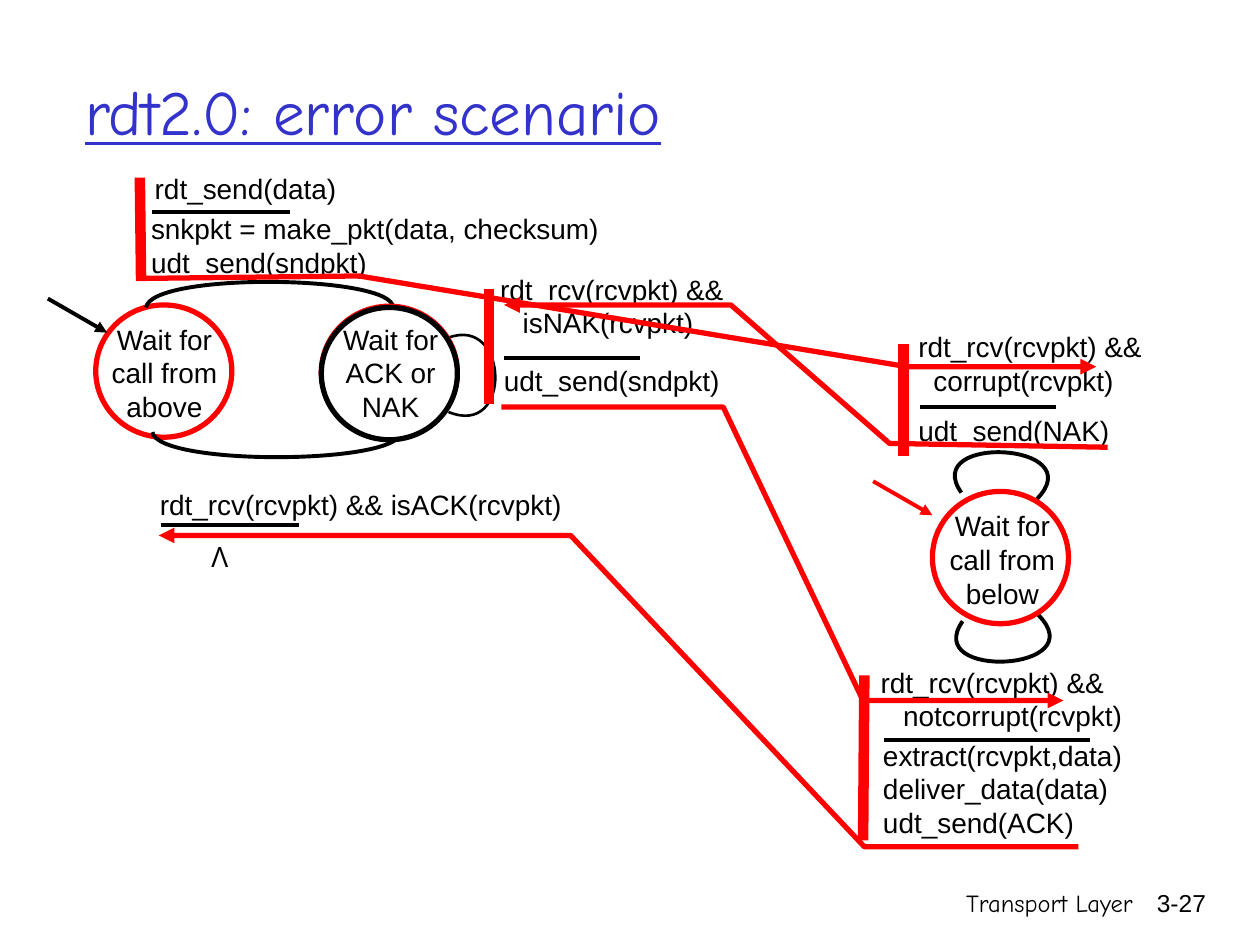
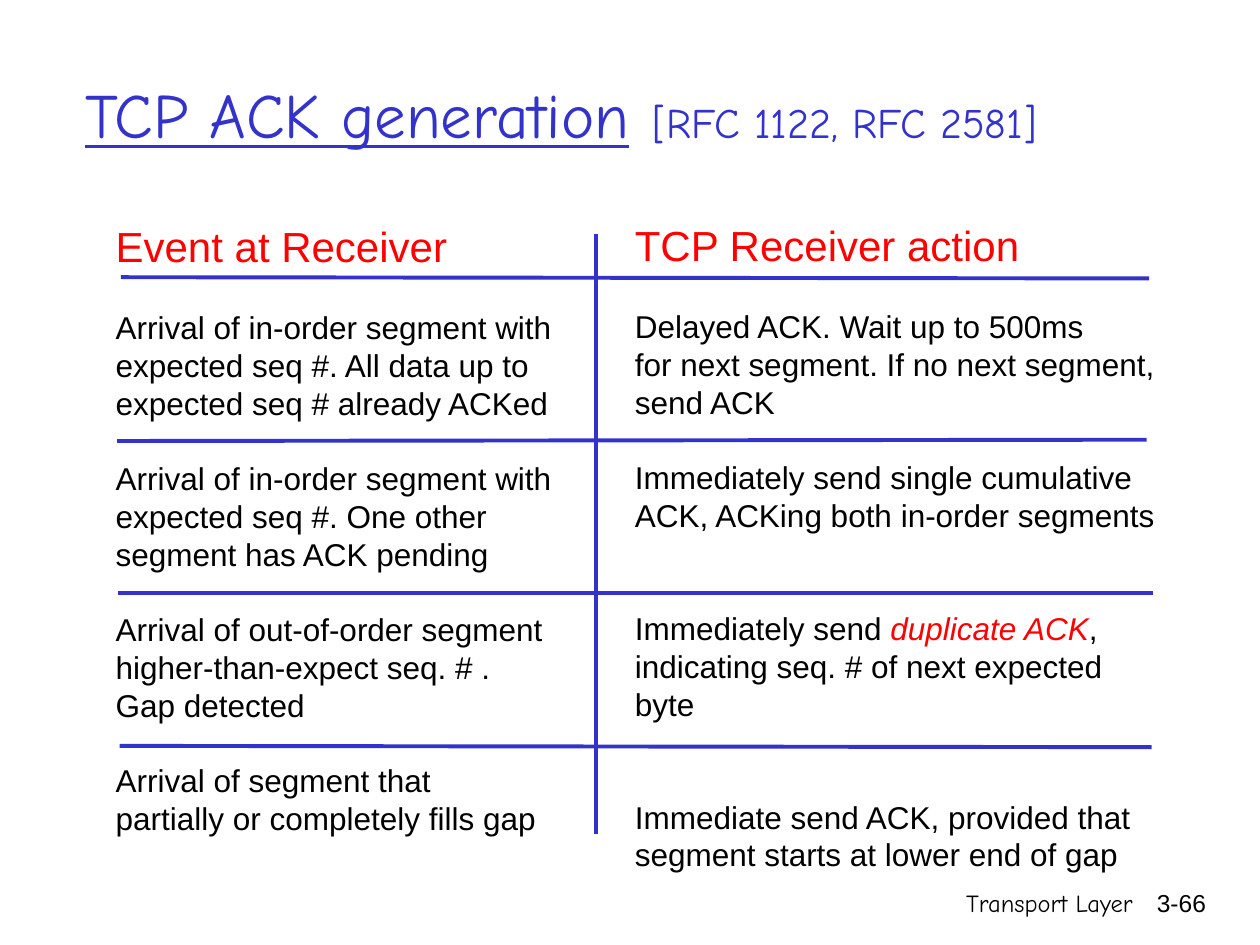
"""Build two transport layer slides: an error scenario and ACK rules."""
from typing import NamedTuple

from pptx import Presentation
from pptx import util as u
from pptx.dml import color as dml
from pptx.enum import shapes, text
from pptx.oxml import ns, xmlchemy as xml

BLACK = dml.RGBColor(0x00, 0x00, 0x00)
WHITE = dml.RGBColor(0xFF, 0xFF, 0xFF)
RED = dml.RGBColor(0xFF, 0x00, 0x00)
BLUE = dml.RGBColor(0x33, 0x33, 0xCC)
SANS, COMIC = "Arial", "Comic Neue"
LEFT, MID, RIGHT = text.PP_ALIGN.LEFT, text.PP_ALIGN.CENTER, text.PP_ALIGN.RIGHT
ROW = 21.5


class Run(NamedTuple):
    """A piece of text; empty fields take the format of the box."""
    text: str
    size: float | None = None
    ink: dml.RGBColor | None = None
    slant: bool = False
    under: bool = False


class Para(NamedTuple):
    """A paragraph with the space before it in rows and its indent in inches."""
    runs: tuple[Run, ...]
    gap: int = 0
    dent: float = 0


class Note(NamedTuple):
    """A text block of the state machine."""
    x: float
    y: float
    w: float
    h: float
    lines: tuple


class Line(NamedTuple):
    """A straight stroke from one point to another."""
    x: float
    y: float
    x2: float
    y2: float
    ink: dml.RGBColor = BLACK
    width: float = 2.25
    arrow: bool = False


class State(NamedTuple):
    """A state circle with its label box."""
    x: float
    y: float
    ink: dml.RGBColor
    label: str = ""
    tx: float = 0
    ty: float = 0
    tw: float = 0


class Arc(NamedTuple):
    """A cubic curve given by its four control points."""
    points: tuple
    width: float = 2.25


def para(words: str, gap: int = 0, dent: float = 0, **form) -> Para:
    """Make a paragraph of one run."""
    return Para((Run(words, **form),), gap, dent)


def write(slide, x, y, w, h, lines, *, size=16, font=SANS, ink=BLACK,
          align=LEFT, anchor=text.MSO_ANCHOR.TOP) -> None:
    """Write a wrapped text box, one paragraph for each line."""
    box = slide.shapes.add_textbox(*map(u.Inches, (x, y, w, h)))
    frame = box.text_frame
    frame.word_wrap = True
    frame.vertical_anchor = anchor
    for num, item in enumerate(lines):
        line = para(item) if isinstance(item, str) else item
        part = frame.add_paragraph() if num else frame.paragraphs[0]
        part.alignment = align
        if line.gap:
            part.space_before = u.Pt(line.gap * ROW)
        if line.dent:
            part._p.get_or_add_pPr().set("marL", str(u.Inches(line.dent)))
        for run in line.runs:
            piece = part.add_run()
            piece.text = run.text
            face = piece.font
            face.name, face.size = font, u.Pt(run.size or size)
            face.color.rgb = ink if run.ink is None else run.ink
            face.italic, face.underline = run.slant, run.under


def stroke(shape, ink: dml.RGBColor, width: float, arrow: bool = False) -> None:
    """Set the line of a shape and its arrowhead."""
    shape.line.color.rgb = ink
    shape.line.width = u.Pt(width)
    if arrow:
        tail = xml.OxmlElement("a:tailEnd")
        tail.set("type", "triangle")
        shape.line._get_or_add_ln().append(tail)


def draw(slide, line: Line) -> None:
    """Draw a straight line."""
    ends = map(u.Inches, line[:4])
    shape = slide.shapes.add_connector(shapes.MSO_CONNECTOR.STRAIGHT, *ends)
    stroke(shape, line.ink, line.width, line.arrow)
    shape._element.find(ns.qn("p:spPr")).append(xml.OxmlElement("a:effectLst"))


def trace(slide, points, ink=BLACK, width=2.25, arrow=False):
    """Draw an open outline through points."""
    first, *rest = [(u.Inches(x), u.Inches(y)) for x, y in points]
    form = slide.shapes.build_freeform(*first)
    form.add_line_segments(rest, close=False)
    shape = form.convert_to_shape()
    shape.shadow.inherit = False
    shape.fill.background()
    stroke(shape, ink, width, arrow)
    return shape


def bend(slide, arc: Arc) -> None:
    """Draw a cubic curve from its control points."""
    shape = trace(slide, arc.points, width=arc.width)
    curve = xml.OxmlElement("a:cubicBezTo")
    legs = list(shape._element.iter(ns.qn("a:lnTo")))
    legs[0].addprevious(curve)
    for leg in legs:
        curve.append(leg[0])
        leg.getparent().remove(leg)


def ring(slide, state: State) -> None:
    """Draw a state circle and its label."""
    shape = slide.shapes.add_shape(shapes.MSO_SHAPE.OVAL, u.Inches(state.x),
                                   u.Inches(state.y), u.Inches(1.08), u.Inches(1.05))
    shape.shadow.inherit = False
    shape.fill.solid()
    shape.fill.fore_color.rgb = WHITE
    stroke(shape, state.ink, 3)
    if state.label:
        write(slide, state.tx, state.ty, state.tw, 0.67, [state.label], align=MID)


def start(deck, title: Para, page: str):
    """Add a slide with its title and footer."""
    slide = deck.slides.add_slide(deck.slide_layouts[6])
    write(slide, 5.92, 7, 3.17, 0.5, ["Transport Layer"], size=14, font=COMIC,
          align=RIGHT)
    write(slide, 8.93, 7, 0.74, 0.5, [page], size=14, align=RIGHT)
    write(slide, 0.58, 0.25, 8.5, 1.25, [title], size=36, font=COMIC, ink=BLUE,
          anchor=text.MSO_ANCHOR.MIDDLE)
    return slide


STATES = (
    State(0.76, 2.42, RED, "Wait for call from above", 0.65, 2.51, 1.31),
    State(2.55, 2.43, RED),
    State(2.55, 2.44, BLACK, "Wait for ACK or NAK", 2.51, 2.51, 1.18),
    State(7.4, 3.9, RED, "Wait for call from below", 7.3, 3.99, 1.31),
)
ARCS = (
    Arc(((1.16, 2.44), (1.2, 2.16), (3.12, 2.18), (3.12, 2.44))),
    Arc(((1.21, 3.43), (1.25, 3.7), (3.18, 3.69), (3.18, 3.43))),
    Arc(((3.56, 2.68), (4.04, 2.5), (4.07, 3.48), (3.56, 3.27)), 1.5),
    Arc(((7.63, 3.91), (7.3, 3.44), (8.67, 3.51), (8.23, 3.96))),
    Arc(((7.64, 4.93), (7.31, 5.4), (8.69, 5.33), (8.24, 4.88))),
)
NOTES = (
    Note(1.13, 1.31, 2.47, 0.47, ("rdt_send(data)",)),
    Note(1.1, 1.63, 3.98, 0.44,
         ("snkpkt = make_pkt(data, checksum)", "udt_send(sndpkt)")),
    Note(6.91, 5.81, 2.34, 0.68,
         ("extract(rcvpkt,data)", "deliver_data(data)", "udt_send(ACK)")),
    Note(6.89, 5.23, 2.36, 0.77,
         ("rdt_rcv(rcvpkt) &&", para("notcorrupt(rcvpkt)", dent=0.18))),
    Note(1.17, 3.82, 3.88, 0.31, ("rdt_rcv(rcvpkt) && isACK(rcvpkt)",)),
    Note(3.9, 2.84, 1.93, 0.44, ("udt_send(sndpkt)",)),
    Note(3.87, 2.11, 2.28, 0.69,
         ("rdt_rcv(rcvpkt) &&", para("isNAK(rcvpkt)", dent=0.18))),
    Note(7.19, 3.23, 2, 0.28, ("udt_send(NAK)",)),
    Note(7.19, 2.57, 2.1, 0.34,
         ("rdt_rcv(rcvpkt) &&", para("corrupt(rcvpkt)", dent=0.12))),
)
LINES = (
    Line(1.21, 1.68, 2.3, 1.68),
    Line(7.02, 5.87, 8.65, 5.87),
    Line(1.28, 4.17, 2.37, 4.17),
    Line(4, 2.84, 5.08, 2.84),
    Line(7.3, 3.23, 8.38, 3.23),
    Line(0.38, 2.37, 0.85, 2.64, arrow=True),
    Line(6.93, 3.82, 7.4, 4.09, RED, arrow=True),
    Line(1.11, 1.41, 1.12, 2.23, RED, 6),
    Line(6.86, 5.36, 6.85, 6.67, RED, 6),
    Line(7.17, 2.73, 7.17, 3.62, RED, 6),
    Line(3.88, 2.29, 3.88, 3.21, RED, 6),
)
PATHS = (
    ((1.11, 2.21), (2.85, 2.19), (7.2, 2.91), (8.7, 2.91)),
    ((8.56, 6.72), (6.86, 6.72), (4.53, 4.25), (1.26, 4.25)),
    ((8.79, 3.55), (7.06, 3.52), (5.8, 2.42), (4, 2.42)),
    ((3.98, 3.23), (5.74, 3.23), (6.85, 5.56), (8.44, 5.56)),
)
EVENTS = (
    para("Event at Receiver", size=24, ink=RED),
    para("Arrival of in-order segment with", 1),
    "expected seq #. All data up to",
    "expected seq # already ACKed",
    para("Arrival of in-order segment with", 1),
    "expected seq #. One other",
    "segment has ACK pending",
    para("Arrival of out-of-order segment", 1),
    "higher-than-expect seq. # .",
    "Gap detected",
    para("Arrival of segment that", 1),
    "partially or completely fills gap",
)
ACTS = (
    para("TCP Receiver action", size=24, ink=RED),
    para("Delayed ACK. Wait up to 500ms", 1),
    "for next segment. If no next segment,",
    "send ACK",
    para("Immediately send single cumulative", 1),
    "ACK, ACKing both in-order segments",
    Para((Run("Immediately send "), Run("duplicate ACK", ink=RED, slant=True),
          Run(",")), 2),
    "indicating seq. # of next expected byte",
    para("Immediate send ACK, provided that", 2),
    "segment starts at lower end of gap",
)
RULES = (
    (0.96, 2.2, 9.12, 2.21),
    (0.93, 3.5, 9.1, 3.49),
    (0.94, 4.71, 9.15, 4.71),
    (0.95, 5.92, 9.14, 5.93),
    (4.73, 1.86, 4.73, 6.62),
)


def error(deck) -> None:
    """Build the error scenario slide."""
    slide = start(deck, para("rdt2.0: error scenario", under=True), "3-27")
    ring(slide, STATES[0])
    for arc in ARCS:
        bend(slide, arc)
    for state in STATES[1:]:
        ring(slide, state)
    for note in NOTES:
        write(slide, *note)
    for line in LINES:
        draw(slide, line)
    for path in PATHS:
        trace(slide, path, RED, 3, True)
    write(slide, 1.57, 4.23, 0.35, 0.37, ["Λ"], font="Open Sans", align=MID)


def acks(deck) -> None:
    """Build the ACK rules slide."""
    title = Para((Run("TCP ACK generation", under=True), Run(" ", 40),
                  Run("[RFC 1122, RFC 2581]", 24)))
    slide = start(deck, title, "3-66")
    write(slide, 0.82, 1.7, 3.7, 5.47, EVENTS, size=18)
    write(slide, 4.94, 1.69, 4.4, 5.47, ACTS, size=18)
    for rule in RULES:
        draw(slide, Line(*rule, BLUE))


def main() -> None:
    """Build and save the deck."""
    deck = Presentation()
    deck.slide_width, deck.slide_height = u.Inches(10), u.Inches(7.5)
    error(deck)
    acks(deck)
    deck.save("out.pptx")


if __name__ == "__main__":
    main()
